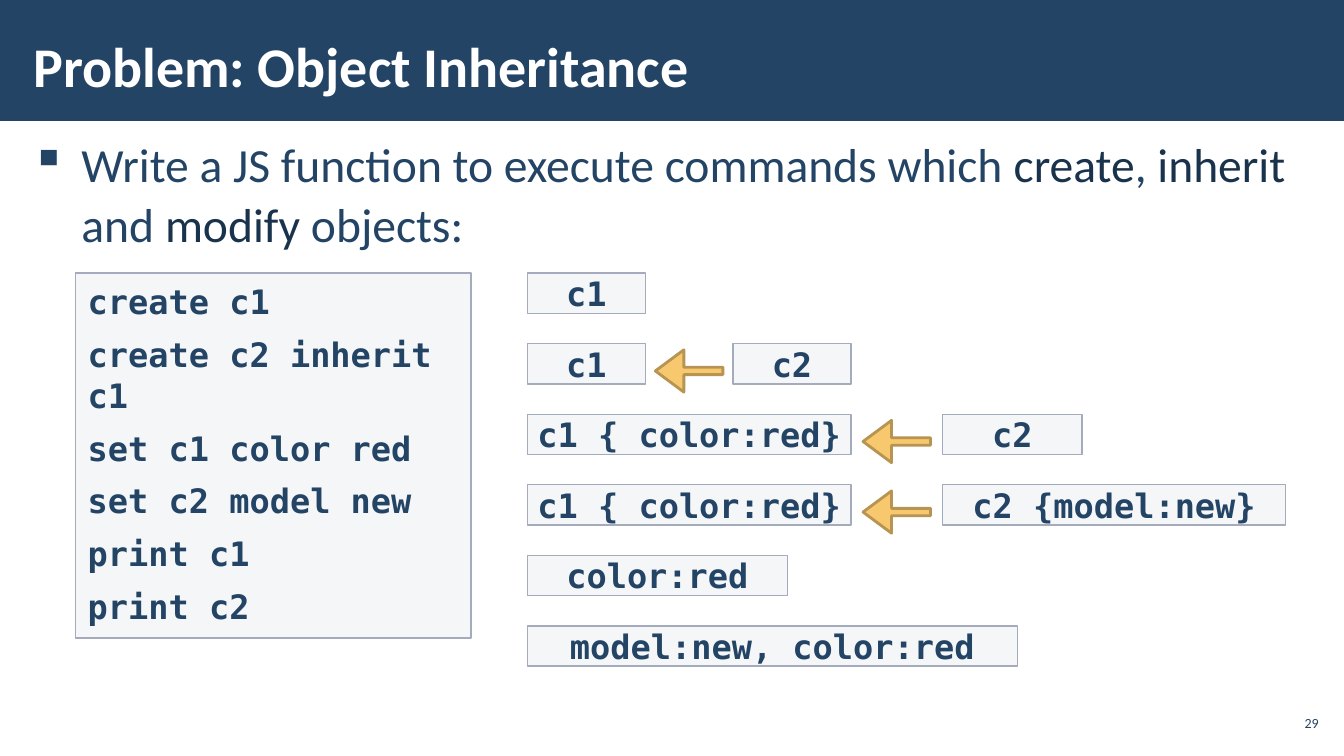
from dataclasses import dataclass

from lxml.etree import SubElement
from pptx import Presentation
from pptx.dml.color import RGBColor
from pptx.enum.shapes import MSO_SHAPE
from pptx.enum.text import MSO_ANCHOR, MSO_AUTO_SIZE, PP_ALIGN
from pptx.oxml.ns import qn
from pptx.util import Inches, Pt


@dataclass(frozen=True)
class Theme:
    navy: str = "234465"
    emphasis: str = "1A334C"
    white: str = "FFFFFF"
    box_fill: str = "C2C7D2"
    box_line: str = "A3ABBC"
    arrow_fill: str = "F7C86D"
    arrow_line: str = "B79451"
    text_font: str = "Calibri"
    code_font: str = "DejaVu Sans Mono"
    title_size: int = 40
    body_size: int = 34
    code_size: int = 24
    number_size: int = 10


THEME = Theme()
COMMANDS = ["create c1", "create c2 inherit c1", "set c1 color red",
            "set c2 model new", "print c1", "print c2"]
# Each state row lists its boxes as (text, offset from the left, width)
STATES = [
    [("c1", 0, 1.17)],
    [("c1", 0, 1.17), ("c2", 2.04, 1.17)],
    [("c1 { color:red}", 0, 3.21), ("c2", 4.12, 1.38)],
    [("c1 { color:red}", 0, 3.21), ("c2 {model:new}", 4.12, 3.4)],
    [("color:red", 0, 2.58)],
    [("model:new, color:red", 0, 4.86)],
]


def add_text(paragraph, text, size, color=THEME.navy, font=THEME.text_font, bold=False):
    run = paragraph.add_run()
    run.text = text
    run.font.size = Pt(size)
    run.font.name = font
    run.font.bold = bold
    run.font.color.rgb = RGBColor.from_string(color)


def set_frame(shape, horizontal, vertical, anchor):
    frame = shape.text_frame
    frame.word_wrap = True
    frame.margin_left = frame.margin_right = Inches(horizontal)
    frame.margin_top = frame.margin_bottom = Inches(vertical)
    frame.vertical_anchor = anchor
    return frame


def add_figure(slide, kind, left, top, width, height, fill, line=None, line_width=1):
    shape = slide.shapes.add_shape(
        kind, Inches(left), Inches(top), Inches(width), Inches(height))
    shape.shadow.inherit = False
    shape.fill.solid()
    shape.fill.fore_color.rgb = RGBColor.from_string(fill)
    if line:
        shape.line.color.rgb = RGBColor.from_string(line)
        shape.line.width = Pt(line_width)
    else:
        shape.line.fill.background()
    return shape


def add_code_box(slide, left, top, width, height, lines, margins=(0.1, 0),
                 align=PP_ALIGN.CENTER, space_before=6):
    box = add_figure(slide, MSO_SHAPE.RECTANGLE, left, top, width, height,
                     THEME.box_fill, THEME.box_line)
    color = box.fill._xPr.find(qn("a:solidFill")).find(qn("a:srgbClr"))
    SubElement(color, qn("a:alpha"), val="15000")
    frame = set_frame(box, *margins, MSO_ANCHOR.TOP)
    frame.auto_size = MSO_AUTO_SIZE.SHAPE_TO_FIT_TEXT
    for index, line in enumerate(lines):
        paragraph = frame.add_paragraph() if index else frame.paragraphs[0]
        paragraph.alignment = align
        paragraph.space_before = Pt(space_before)
        add_text(paragraph, line, THEME.code_size, font=THEME.code_font, bold=True)


def add_header(slide, left, top, width, height, text):
    band = add_figure(slide, MSO_SHAPE.RECTANGLE, left, top, width, height, THEME.navy)
    title = slide.shapes.title
    band._element.addnext(title._element)
    title.left, title.top = Inches(left + 0.21), Inches(top + 0.04)
    title.width, title.height = Inches(10.47), Inches(height + 0.01)
    paragraph = set_frame(title, 0.12, 0.04, MSO_ANCHOR.MIDDLE).paragraphs[0]
    paragraph.alignment = PP_ALIGN.LEFT
    add_text(paragraph, text, THEME.title_size, THEME.white, bold=True)


def add_task(slide, left, top, width, height, parts):
    box = slide.shapes.add_textbox(
        Inches(left), Inches(top), Inches(width), Inches(height))
    paragraph = set_frame(box, 0.1, 0.05, MSO_ANCHOR.TOP).paragraphs[0]
    paragraph.line_spacing = 1.05
    paragraph.space_before = paragraph.space_after = Pt(6)
    properties = paragraph._p.get_or_add_pPr()
    properties.set("marL", str(Inches(0.5)))
    properties.set("indent", str(-Inches(0.5)))
    SubElement(properties, qn("a:buChar"), char="▪")
    for text, color in parts:
        add_text(paragraph, text, THEME.body_size, color)


def add_states(slide, left, top, pitch, rows):
    arrow_width = 0.67
    for index, row in enumerate(rows):
        row_top = top + index * pitch
        for text, offset, width in row:
            add_code_box(slide, left + offset, row_top, width, 0.4, [text])
        # Arrow centred in the gap between neighbouring boxes
        for (_, offset, width), (_, next_offset, _) in zip(row, row[1:]):
            middle = left + (offset + width + next_offset) / 2
            arrow = add_figure(slide, MSO_SHAPE.LEFT_ARROW, middle - arrow_width / 2,
                               row_top + 0.06, arrow_width, 0.42,
                               THEME.arrow_fill, THEME.arrow_line, 2)
            arrow.adjustments[0] = 0.175
            arrow.adjustments[1] = 0.674


def add_slide_number(slide, left, top, width, height, number):
    box = slide.shapes.add_textbox(
        Inches(left), Inches(top), Inches(width), Inches(height))
    paragraph = set_frame(box, 0.04, 0.04, MSO_ANCHOR.MIDDLE).paragraphs[0]
    paragraph.alignment = PP_ALIGN.RIGHT
    add_text(paragraph, number, THEME.number_size)


def main():
    presentation = Presentation()
    presentation.slide_width = Inches(13.33)
    presentation.slide_height = Inches(7.5)
    slide = presentation.slides.add_slide(presentation.slide_layouts[5])

    # Heading and task
    add_header(slide, 0, 0, 13.33, 1.2, "Problem: Object Inheritance")
    add_task(slide, 0.21, 1.26, 12.91, 6.09, [
        ("Write a JS function to execute commands which ", THEME.navy),
        ("create", THEME.emphasis), (", ", THEME.navy),
        ("inherit", THEME.emphasis), (" and ", THEME.navy),
        ("modify", THEME.emphasis), (" objects:", THEME.navy)])

    # Commands and the object states they lead to
    add_code_box(slide, 0.75, 2.71, 3.92, 3.62, COMMANDS, margins=(0.12, 0.08),
                 align=PP_ALIGN.LEFT, space_before=9)
    add_states(slide, 5.23, 2.71, 0.7, STATES)

    add_slide_number(slide, 12.65, 7, 0.47, 0.34, "29")
    presentation.save("out.pptx")


if __name__ == "__main__":
    main()
